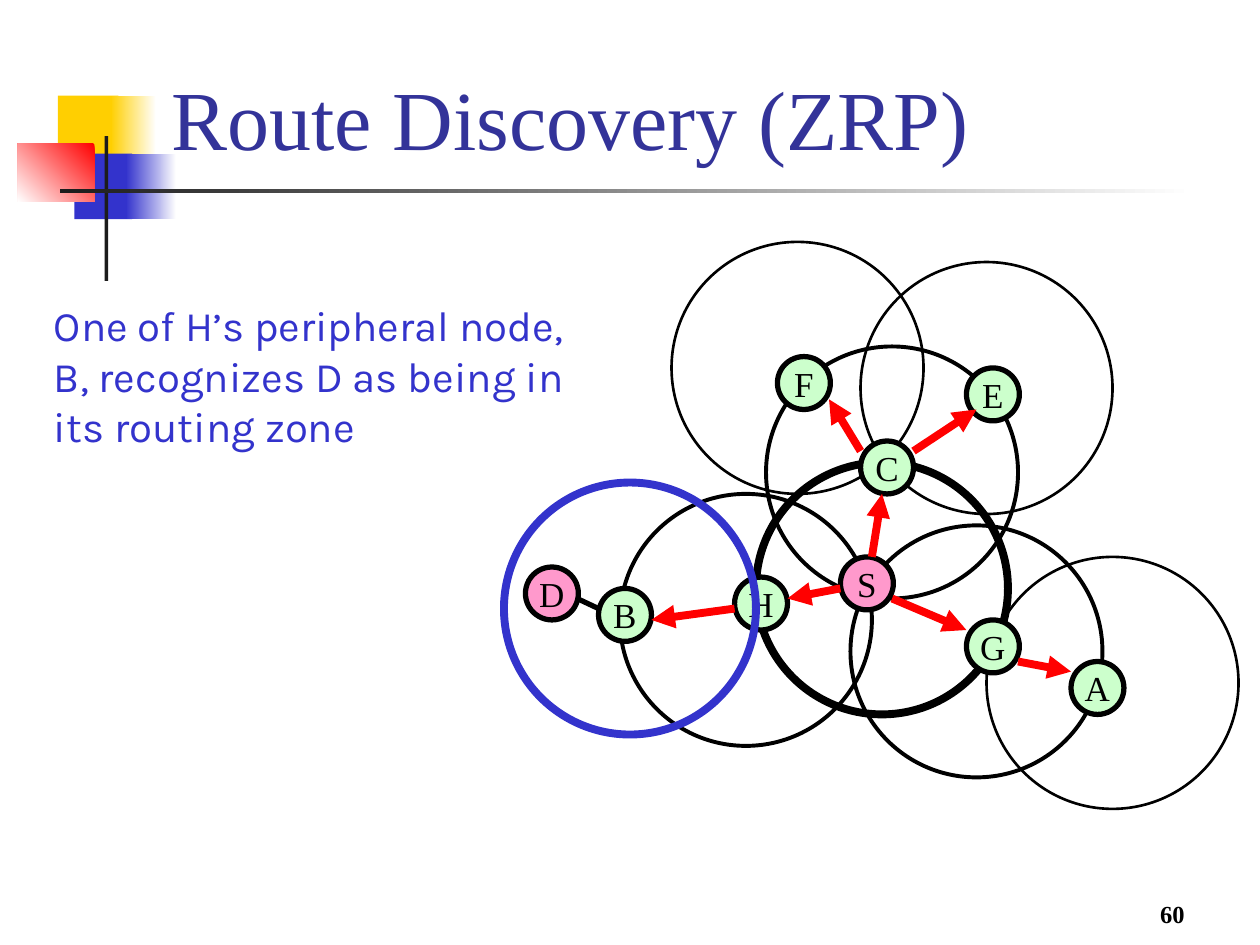
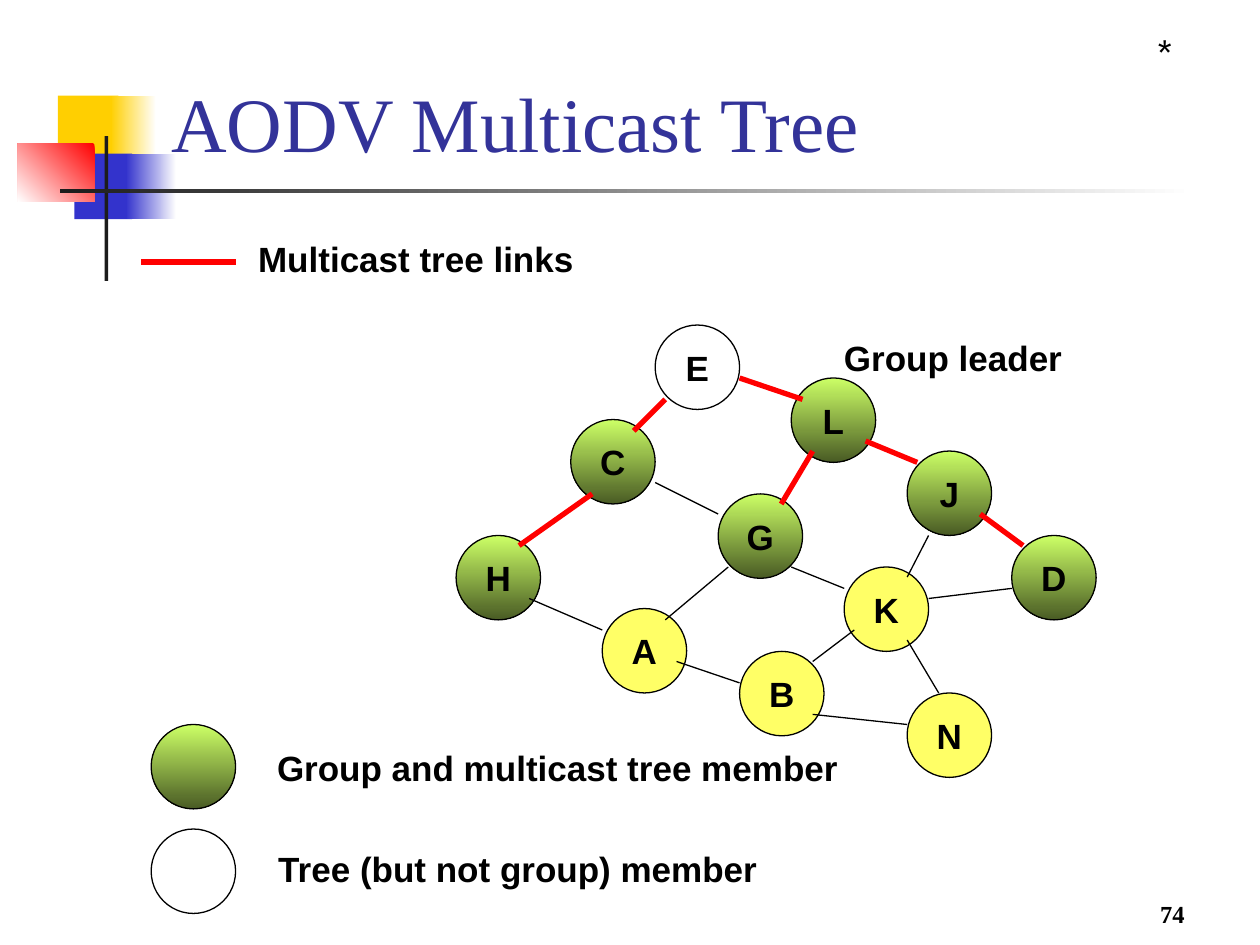
import lxml.etree
import pptx
import pptx.dml.color
import pptx.enum.shapes
import pptx.enum.text
import pptx.oxml.ns
import pptx.util

Inches = pptx.util.Inches
shape_kind = pptx.enum.shapes.MSO_SHAPE
align_to = pptx.enum.text.PP_ALIGN
anchor_to = pptx.enum.text.MSO_ANCHOR
qn = pptx.oxml.ns.qn

serif, sans, body = "Times New Roman", "Arial", "Karla"
black, red, blue, white = "000000", "FF0000", "3333CC", "FFFFFF"
navy, gold, dark = "333399", "FFCF01", "1C1C1C"
mint, pink, lemon = "CCFFCC", "FF99CC", "FFFF66"
green = ("CCFF66", "495B24")


def paint(fill, *hexes, angle=0):
    tones = [pptx.dml.color.RGBColor.from_string(h) for h in hexes]
    if not tones:
        fill.background()
    elif len(tones) == 1:
        fill.solid()
        fill.fore_color.rgb = tones[0]
    else:
        fill.gradient()
        fill.gradient_angle = angle
        for stop, tone in zip(fill.gradient_stops, tones):
            stop.color.rgb = tone


def write(shape, text, size=20, font=sans, color=black, bold=False,
          align=align_to.LEFT, anchor=anchor_to.MIDDLE, wrap=False):
    frame = shape.text_frame
    frame.auto_size = pptx.enum.text.MSO_AUTO_SIZE.NONE
    frame.word_wrap = wrap
    frame.vertical_anchor = anchor
    frame.text = text
    line = frame.paragraphs[0]
    line.alignment = align
    face = line.runs[0].font
    face.size = pptx.util.Pt(size)
    face.name = font
    face.bold = bold
    paint(face.fill, color)


bands = [
    (0.46, 0.76, 0.48, 0.52, (gold,), 0),
    (0.88, 0.76, 0.36, 0.52, (white, gold), 180),
    (0.59, 1.22, 0.46, 0.52, (blue,), 0),
    (1, 1.22, 0.4, 0.52, (white, blue), 180),
    (0.14, 1.14, 0.61, 0.46, (red, white), 225),
    (0.83, 1.08, 0.03, 1.15, (dark,), 0),
    (0.48, 1.5, 9, 0.03, (white, dark), 180),
]

zone_discs = [
    (2, (), black, 1.5, [("", 5.33, 1.92), ("", 6.83, 2.08), ("", 7.83, 4.42)]),
    (2, (), black, 2.25, [("", 6.08, 2.75), ("", 4.92, 3.92), ("", 6.75, 4.17)]),
    (2, (), black, 4.5, [("", 6, 3.67)]),
    (0.42, (pink,), black, 3, [("S", 6.67, 4.42), ("D", 4.17, 4.5)]),
    (0.42, (mint,), black, 3, [
        ("E", 7.67, 2.92), ("F", 6.17, 2.83), ("A", 8.5, 5.25), ("G", 7.67, 4.92),
        ("C", 6.83, 3.5), ("B", 4.75, 4.67), ("H", 5.83, 4.58)]),
    (2, (), blue, 4.5, [("", 4, 3.83)]),
]
zone_links = [
    (black, 3, False, [(4.58, 4.75, 4.75, 4.83)]),
    (red, 4.5, True, [
        (6.67, 4.67, 6.25, 4.75), (7.08, 4.75, 7.67, 5), (6.92, 4.42, 7, 3.92),
        (5.83, 4.83, 5.17, 4.92), (8.08, 5.25, 8.5, 5.33),
        (7.25, 3.58, 7.75, 3.25), (6.83, 3.58, 6.58, 3.17)]),
]
zone_notes = [
    ("One of H’s peripheral node, B, recognizes D as being in its routing zone",
     0.33, 2.33, 4.25, 1.3,
     dict(size=24, font=body, color=blue, anchor=anchor_to.TOP, wrap=True)),
]

tree_discs = [
    (0.67, (), black, 0.75, [("E", 5.2, 2.58), ("", 1.2, 6.58)]),
    (0.67, green, black, 0.75, [
        ("L", 6.28, 3), ("H", 3.62, 4.25), ("J", 7.2, 3.58), ("D", 8.03, 4.25),
        ("C", 4.53, 3.33), ("G", 5.7, 3.92), ("", 1.2, 5.75)]),
    (0.67, (lemon,), black, 0.75, [
        ("A", 4.78, 4.83), ("K", 6.7, 4.5), ("N", 7.2, 5.5), ("B", 5.87, 5.17)]),
]
tree_links = [
    (red, 3, False, [
        (4.7, 3.92, 4.12, 4.33), (5.28, 3.17, 5.03, 3.42), (5.87, 3, 6.37, 3.17),
        (6.45, 3.58, 6.2, 4), (6.87, 3.5, 7.28, 3.67), (7.78, 4.08, 8.12, 4.33),
        (1.12, 2.08, 1.87, 2.08)]),
    (black, 0.75, False, [
        (5.78, 4.5, 5.28, 4.92), (5.2, 3.83, 5.7, 4.08), (4.2, 4.75, 4.78, 5),
        (6.28, 4.5, 6.7, 4.67), (8.03, 4.67, 7.37, 4.75), (7.45, 5.5, 7.2, 5.08),
        (5.87, 5.42, 5.37, 5.25), (6.45, 5.67, 7.2, 5.75), (6.78, 5, 6.45, 5.25),
        (7.37, 4.25, 7.2, 4.58)]),
]
tree_notes = [
    ("Group and multicast tree member", 2.1, 5.87, 4.65, 0.44, dict(bold=True)),
    ("Tree (but not group) member", 2.11, 6.67, 4.02, 0.44, dict(bold=True)),
    ("Group leader", 6.6, 2.62, 1.93, 0.44, dict(bold=True)),
    ("Multicast tree links", 1.95, 1.83, 2.7, 0.44, dict(bold=True)),
    ("*", 9.08, 0.17, 0.58, 0.5,
     dict(size=24, font=body, anchor=anchor_to.TOP, wrap=True)),
]

pages = [
    ("Route Discovery (ZRP)", 48, "60", serif, False, zone_discs, zone_links, zone_notes),
    ("AODV Multicast Tree", 44, "74", sans, True, tree_discs, tree_links, tree_notes),
]

deck = pptx.Presentation()
deck.slide_width = Inches(10)
deck.slide_height = Inches(7.5)
layout = deck.slide_layouts[5]

for head, size, number, font, bold, discs, links, notes in pages:
    slide = deck.slides.add_slide(layout)
    title = slide.shapes.title
    title.left, title.top = Inches(1.26), Inches(0.13)
    title.width, title.height = Inches(8.52), Inches(1.25)
    write(title, head, size=size, font=serif, color=navy,
          anchor=anchor_to.BOTTOM, wrap=True)

    for side, fill, edge, width, spots in discs:
        for label, x, y in spots:
            disc = slide.shapes.add_shape(
                shape_kind.OVAL, Inches(x), Inches(y), Inches(side), Inches(side))
            disc.shadow.inherit = False
            paint(disc.fill, *fill, angle=270)
            paint(disc.line.fill, edge)
            disc.line.width = pptx.util.Pt(width)
            if label:
                write(disc, label, font=font, bold=bold, align=align_to.CENTER)

    for color, width, arrow, ends in links:
        for end in ends:
            link = slide.shapes.add_connector(
                pptx.enum.shapes.MSO_CONNECTOR.STRAIGHT, *map(Inches, end))
            paint(link.line.fill, color)
            link.line.width = pptx.util.Pt(width)
            props = link.element.spPr
            if arrow:
                lxml.etree.SubElement(props.find(qn("a:ln")), qn("a:tailEnd"), type="triangle")
            lxml.etree.SubElement(props, qn("a:effectLst"))

    footer = (number, 7.42, 6.92, 2.08, 0.5,
              dict(size=14, font=serif, bold=True, align=align_to.RIGHT,
                   anchor=anchor_to.BOTTOM, wrap=True))
    for text, x, y, w, h, style in notes + [footer]:
        box = slide.shapes.add_textbox(Inches(x), Inches(y), Inches(w), Inches(h))
        write(box, text, **style)

master = deck.slide_master.shapes.element
for x, y, w, h, fill, angle in bands:
    band = slide.shapes.add_shape(
        shape_kind.RECTANGLE, Inches(x), Inches(y), Inches(w), Inches(h))
    band.shadow.inherit = False
    paint(band.fill, *fill, angle=angle)
    paint(band.line.fill)
    master.append(band.element)

deck.save("out.pptx")
